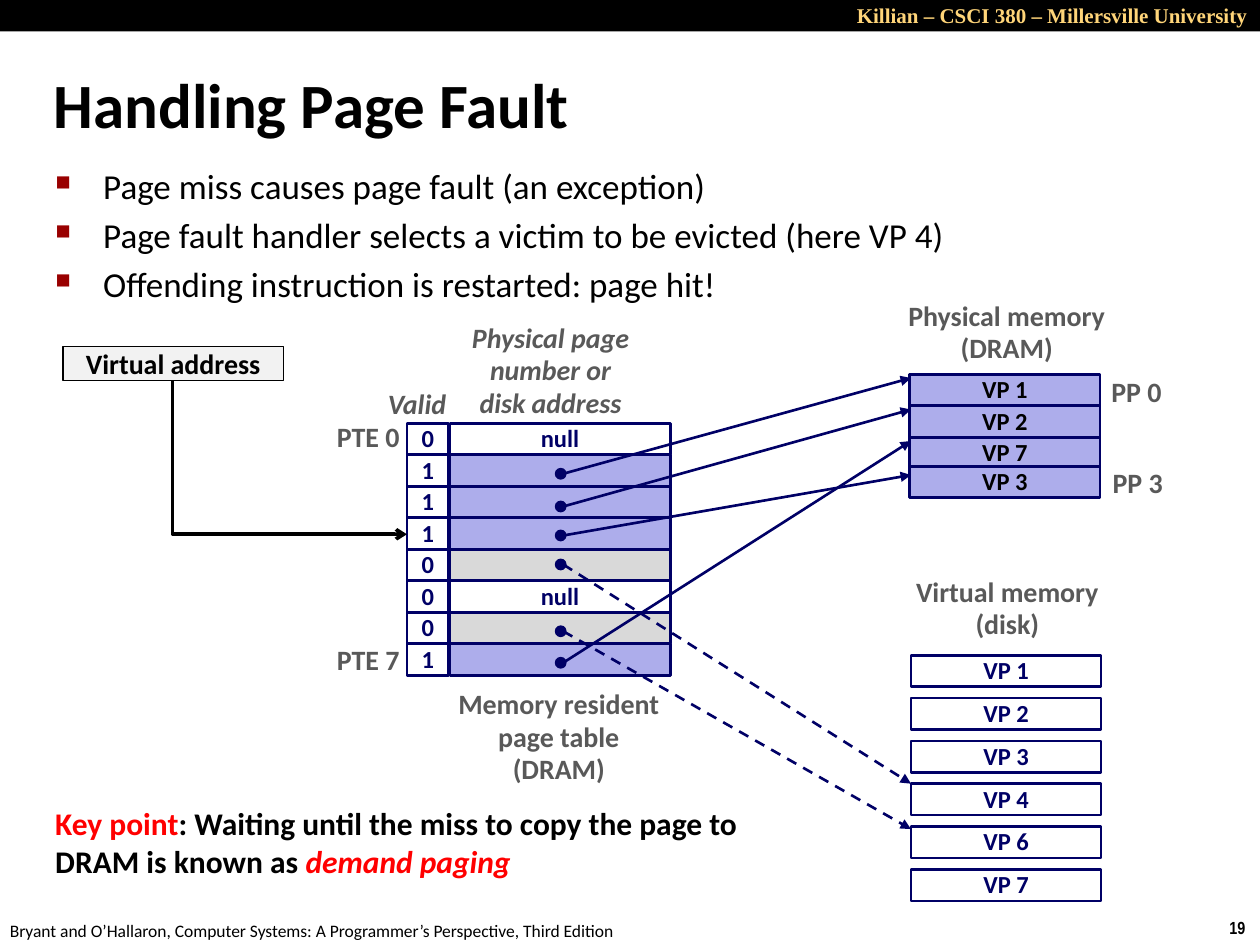
from lxml import etree
from pptx import Presentation
from pptx import util as u
from pptx.dml.color import RGBColor
from pptx.enum import dml, shapes, text
from pptx.oxml import ns

BLACK = RGBColor(0x00, 0x00, 0x00)
WHITE = RGBColor(0xFF, 0xFF, 0xFF)
NAVY = RGBColor(0x00, 0x00, 0x66)
LAVENDER = RGBColor(0xAD, 0xAD, 0xEB)
SILVER = RGBColor(0xD9, 0xD9, 0xD9)
PALE = RGBColor(0xF2, 0xF2, 0xF2)
GRAY = RGBColor(0x59, 0x59, 0x59)
RED = RGBColor(0xFF, 0x00, 0x00)
GOLD = RGBColor(0xFF, 0xD5, 0x79)
BULLET_RED = "990000"

LEFT, CENTER, RIGHT = text.PP_ALIGN.LEFT, text.PP_ALIGN.CENTER, text.PP_ALIGN.RIGHT
TOP, MIDDLE = text.MSO_ANCHOR.TOP, text.MSO_ANCHOR.MIDDLE
RECT, OVAL = shapes.MSO_SHAPE.RECTANGLE, shapes.MSO_SHAPE.OVAL

HEADER = "Killian – CSCI 380 – Millersville University"
FOOTER = "Bryant and O’Hallaron, Computer Systems: A Programmer’s Perspective, Third Edition"
TITLE = "Handling Page Fault"
POINTS = [
    "Page miss causes page fault (an exception)",
    "Page fault handler selects a victim to be evicted (here VP 4)",
    "Offending instruction is restarted: page hit!",
]
KEY_POINT = [
    ("Key point", RED, False),
    (": Waiting until the miss to copy the page to DRAM is known as ", BLACK, False),
    ("demand paging", RED, True),
]

# valid bit, entry text, fill
PAGE_TABLE = [
    ("0", "null", WHITE),
    ("1", "", LAVENDER),
    ("1", "", LAVENDER),
    ("1", "", LAVENDER),
    ("0", "", SILVER),
    ("0", "null", WHITE),
    ("0", "", SILVER),
    ("1", "", LAVENDER),
]
PHYSICAL_PAGES = [("VP 1", 2.97), ("VP 2", 3.22), ("VP 7", 3.47), ("VP 3", 3.70)]
DISK_PAGES = ["VP 1", "VP 2", "VP 3", "VP 4", "VP 6", "VP 7"]

# dot centre, arrow end, on disk
POINTERS = [
    (3.76, 3.00, False),
    (4.02, 3.25, False),
    (4.25, 3.77, False),
    (4.48, 6.22, True),
    (5.01, 6.58, True),
    (5.26, 3.50, False),
]

# lines, box, alignment, anchor, italic
LABELS = [
    (["Memory resident", "page table", "(DRAM)"], (3.51, 5.41, 1.85, 0.89), CENTER, TOP, False),
    (["Physical memory", "(DRAM)"], (7.10, 2.33, 1.78, 0.63), CENTER, TOP, False),
    (["Virtual memory", "(disk)"], (7.15, 4.52, 1.69, 0.63), CENTER, TOP, False),
    (["Valid"], (2.98, 3.03, 0.75, 0.37), LEFT, TOP, True),
    (["Physical page", "number or", "disk address"], (3.64, 2.50, 1.46, 0.89), CENTER, MIDDLE, True),
    (["PTE 0"], (2.57, 3.29, 0.70, 0.37), RIGHT, MIDDLE, False),
    (["PTE 7"], (2.57, 5.06, 0.70, 0.37), RIGHT, MIDDLE, False),
    (["PP 0"], (8.72, 2.93, 0.60, 0.37), CENTER, MIDDLE, False),
    (["PP 3"], (8.73, 3.65, 0.60, 0.37), CENTER, MIDDLE, False),
]

ROW_H = 0.25
TABLE_TOP, VALID_X, VALID_W, ENTRY_X, ENTRY_W = 3.36, 3.23, 0.33, 3.57, 1.75
PAGE_X, PAGE_W = 7.22, 1.51
DISK_TOP, DISK_PITCH = 5.20, 0.34
DOT_X, DOT_SIZE = 4.45, 0.08

prs = Presentation()
prs.slide_width, prs.slide_height = u.Inches(10), u.Inches(7.5)
slide = prs.slides.add_slide(prs.slide_layouts[6])


def inches(values):
    return [u.Inches(v) for v in values]


def put_text(shape, paragraphs, size=14, color=BLACK, font="Calibri", bold=False,
             italic=False, align=LEFT, anchor=TOP, wrap=False, spacing=None):
    """Fill a shape; a paragraph is a string or a list of (text, colour, italic) runs."""
    frame = shape.text_frame
    frame.word_wrap, frame.vertical_anchor = wrap, anchor
    for i, content in enumerate(paragraphs):
        para = frame.paragraphs[0] if i == 0 else frame.add_paragraph()
        para.alignment, para.line_spacing = align, spacing
        runs = [(content, color, italic)] if isinstance(content, str) else content
        for words, run_color, run_italic in runs:
            run = para.add_run()
            run.text = words
            run.font.name, run.font.size = font, u.Pt(size)
            run.font.bold, run.font.italic = bold, run_italic
            run.font.color.rgb = run_color
    return frame


def text_box(box, paragraphs, **style):
    return put_text(slide.shapes.add_textbox(*inches(box)), paragraphs, **style)


def block(box, fill=None, line=NAVY, width=1.5, kind=RECT, label="", **style):
    shape = slide.shapes.add_shape(kind, *inches(box))
    shape.shadow.inherit = False
    if fill is None:
        shape.fill.background()
    else:
        shape.fill.solid()
        shape.fill.fore_color.rgb = fill
    if line is None:
        shape.line.fill.background()
    else:
        shape.line.color.rgb, shape.line.width = line, u.Pt(width)
    if label:
        put_text(shape, [label], bold=True, align=CENTER, anchor=MIDDLE, **style)


def arrow(start, end, color, width, head, dashed=False, kind=shapes.MSO_CONNECTOR.STRAIGHT):
    line = slide.shapes.add_connector(kind, *inches(start + end))
    line.line.color.rgb, line.line.width = color, u.Pt(width)
    if dashed:
        line.line.dash_style = dml.MSO_LINE.DASH
    etree.SubElement(line.line._get_or_add_ln(), ns.qn("a:tailEnd"), type=head)
    etree.SubElement(line._element.spPr, ns.qn("a:effectLst"))
    return line


def indent(para, left, bullet=False):
    props = para._p.get_or_add_pPr()
    props.set("marL", str(u.Inches(left)))
    props.set("indent", str(-u.Inches(left)))
    if bullet:
        para.space_before = u.Pt(4)
        color = etree.SubElement(props, ns.qn("a:buClr"))
        etree.SubElement(color, ns.qn("a:srgbClr"), val=BULLET_RED)
        etree.SubElement(props, ns.qn("a:buSzPct"), val="60000")
        etree.SubElement(props, ns.qn("a:buChar"), char="■")


# Header, footer, title and bullets
text_box((9.66, 7.23, 0.34, 0.27), ["19"], size=10, font="Arial Narrow", bold=True)
text_box((-0.02, 7.25, 5.08, 0.27), [FOOTER], size=10)
block((0, 0, 10, 0.25), BLACK, line=None)
text_box((6.69, -0.03, 3.31, 0.3), [HEADER], size=12, color=GOLD, font="Times New Roman",
         bold=True, align=RIGHT, wrap=True)
title = text_box((0.33, 0.39, 9.06, 0.86), [TITLE], size=36, bold=True, anchor=MIDDLE, wrap=True)
indent(title.paragraphs[0], 0.13)
for point in text_box((0.34, 1.26, 9.09, 0.83), POINTS, size=20, wrap=True).paragraphs:
    indent(point, 0.38, bullet=True)

# Page table
for row, (valid, entry, fill) in enumerate(PAGE_TABLE):
    top = TABLE_TOP + row * ROW_H
    block((ENTRY_X, top, ENTRY_W, ROW_H), fill, label=entry, color=NAVY, spacing=0.98)
    block((VALID_X, top, VALID_W, ROW_H), label=valid, color=NAVY, spacing=0.98)

# Physical and virtual memory
for page, top in PHYSICAL_PAGES:
    block((PAGE_X, top, PAGE_W, ROW_H), LAVENDER, label=page, spacing=0.98)
for i, page in enumerate(DISK_PAGES):
    block((PAGE_X + 0.01, DISK_TOP + i * DISK_PITCH, PAGE_W, ROW_H), WHITE,
          label=page, color=NAVY, spacing=0.98)

# Pointers from table entries to pages
for dot_y, end_y, on_disk in POINTERS:
    arrow((DOT_X + 0.02, dot_y), (PAGE_X + 0.01, end_y), NAVY, 1.5, "triangle", dashed=on_disk)
    block((DOT_X - DOT_SIZE / 2, dot_y - DOT_SIZE / 2, DOT_SIZE, DOT_SIZE), NAVY,
          width=1, kind=OVAL)

for lines, box, align, anchor, italic in LABELS:
    text_box(box, lines, size=16, color=GRAY, bold=True, italic=italic, align=align,
             anchor=anchor, wrap=lines == ["Valid"], spacing=0.98)

# Virtual address, with an elbow down and right to its table entry
block((0.5, 2.75, 1.75, 0.27), PALE, line=BLACK, width=1, label="Virtual address", size=16)
elbow = arrow((2.91, 2.7), (1.69, 4.56), BLACK, 2, "arrow", kind=shapes.MSO_CONNECTOR.ELBOW)
elbow._element.spPr.find(ns.qn("a:prstGeom")).set("prst", "bentConnector2")
elbow._element.spPr.find(ns.qn("a:xfrm")).set("rot", str(270 * 60000))

text_box((0.34, 6.33, 6.33, 0.71), [KEY_POINT], size=18, bold=True, wrap=True)

prs.save("out.pptx")
